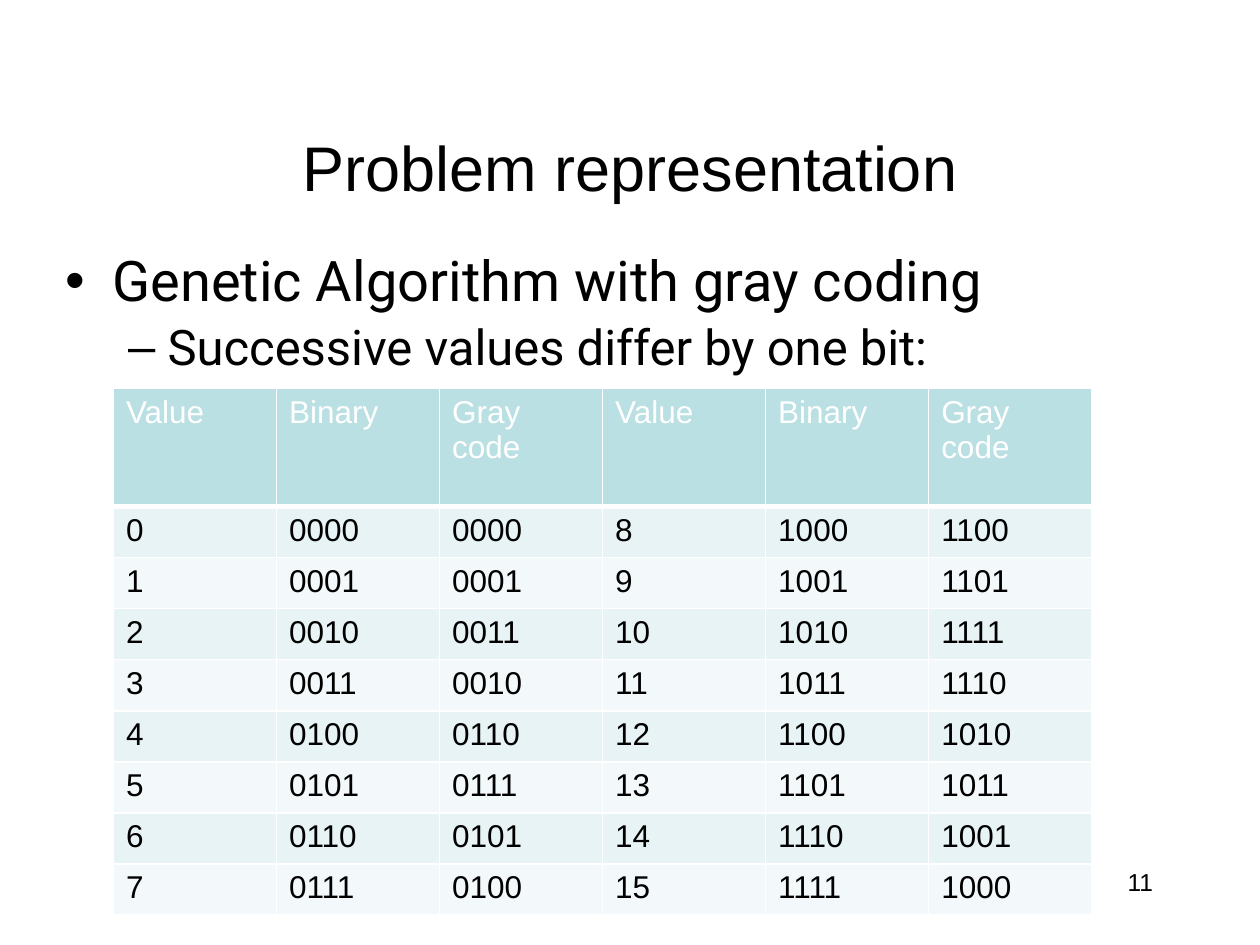
from lxml.etree import SubElement
from pptx import Presentation
from pptx.dml.color import RGBColor
from pptx.enum.text import PP_ALIGN
from pptx.oxml.ns import qn
from pptx.util import Pt

COLORS = {"ink": "000000", "white": "FFFFFF", "head": "BBE0E3",
          "odd": "E7F3F4", "even": "F3F9FA"}


def rgb(name):
    return RGBColor.from_string(COLORS[name])


def write(para, text, size=18, font="Arial", color="ink", align=PP_ALIGN.LEFT):
    para.alignment = align
    run = para.add_run()
    run.text = text
    run.font.size = Pt(size)
    run.font.name = font
    run.font.color.rgb = rgb(color)


class Deck:
    font = "Roboto"
    edge = "white"

    def __init__(self, wide, high):
        self.file = Presentation()
        self.file.slide_width, self.file.slide_height = Pt(wide), Pt(high)
        self.slide = self.file.slides.add_slide(self.file.slide_layouts[6])

    def box(self, x, y, w, h, inset=3.6):
        frame = self.slide.shapes.add_textbox(Pt(x), Pt(y), Pt(w), Pt(h)).text_frame
        frame.word_wrap = True
        frame.margin_top = Pt(inset)
        return frame

    def label(self, text, *place, inset=3.6, **style):
        write(self.box(*place, inset=inset).paragraphs[0], text, **style)

    def bullets(self, items, *place):
        frame = self.box(*place)
        for i, (text, mark, size, left, hang) in enumerate(items):
            para = frame.add_paragraph() if i else frame.paragraphs[0]
            para.level = i
            para.line_spacing = 0.9
            para.space_before = Pt(size * 0.2)
            write(para, text, size=size, font=self.font)
            props = para._p.get_or_add_pPr()
            props.set("marL", str(Pt(left)))
            props.set("indent", str(Pt(-hang)))
            SubElement(props, qn("a:buFont"), typeface="Arial")
            SubElement(props, qn("a:buChar"), char=mark)

    def border(self, cell, **sides):
        props = cell._tc.get_or_add_tcPr()
        for side, width in sides.items():
            line = SubElement(props, qn(f"a:ln{side}"), w=str(Pt(width)))
            fill = SubElement(line, qn("a:solidFill"))
            SubElement(fill, qn("a:srgbClr"), val=COLORS[self.edge])

    def table(self, rows, x, y, wide, top, high):
        count = len(rows[0])
        shape = self.slide.shapes.add_table(
            len(rows), count, Pt(x), Pt(y), Pt(wide * count),
            Pt(top + high * (len(rows) - 1)))
        grid = shape.table
        for col in grid.columns:
            col.width = Pt(wide)
        for r, row in enumerate(rows):
            grid.rows[r].height = Pt(high if r else top)
            shade = ("odd" if r % 2 else "even") if r else "head"
            for c, text in enumerate(row):
                cell = grid.cell(r, c)
                # Borders go before the fill in the cell's properties
                self.border(cell, L=1, R=1, T=3 if r == 1 else 1, B=1 if r else 3)
                cell.fill.solid()
                cell.fill.fore_color.rgb = rgb(shade)
                write(cell.text_frame.paragraphs[0], text,
                      color="ink" if r else "white")


def codes(n):
    """Value, binary and Gray code of n."""
    return [str(n), f"{n:04b}", f"{n ^ n >> 1:04b}"]


def main():
    deck = Deck(720, 540)

    # Title
    deck.label("Problem representation", 36, 66.2, 648, 75.6, inset=7.5,
               size=36, align=PP_ALIGN.CENTER)

    # Bullets: text, mark, size, left, hang
    deck.bullets([("Genetic Algorithm with gray coding", "•", 32, 27, 27),
                  ("Successive values differ by one bit:", "–", 28, 58.5, 22.5)],
                 30.2, 141.1, 660.2, 362.9)

    # Slide number
    deck.label("11", 516.2, 491.8, 149.8, 36, size=14, align=PP_ALIGN.RIGHT)

    # Code table: 0 to 7 on the left, 8 to 15 on the right
    rows = [["Value", "Binary", "Gray code"] * 2]
    rows += [codes(n) + codes(n + 8) for n in range(8)]
    deck.table(rows, 64.8, 222, 93.2, 67.4, 29.2)

    deck.file.save("out.pptx")


if __name__ == "__main__":
    main()
